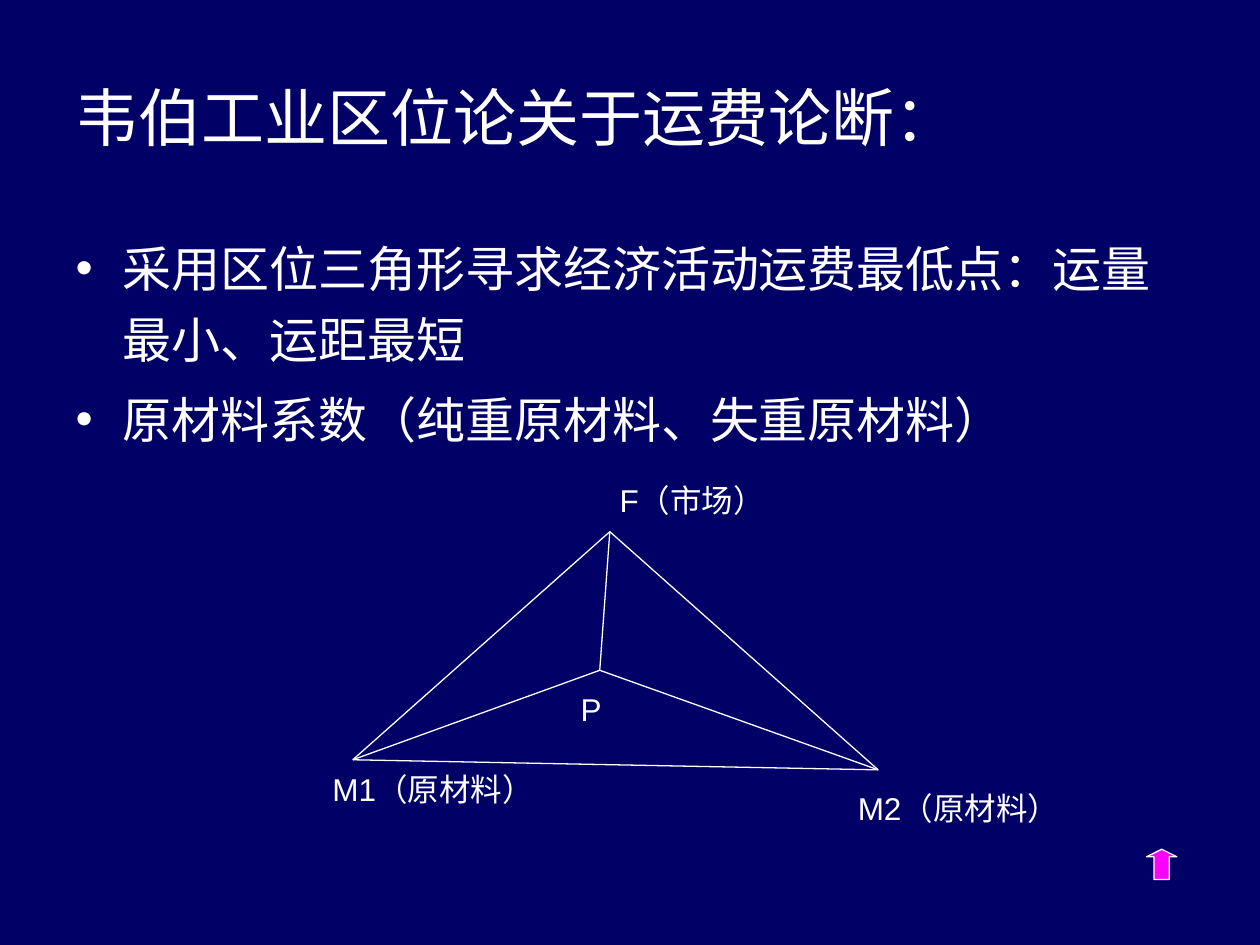
from pptx import Presentation
from pptx.dml.color import RGBColor
from pptx.enum.shapes import MSO_CONNECTOR as Connector, MSO_SHAPE as Shape
from pptx.enum.text import MSO_ANCHOR as Anchor, MSO_AUTO_SIZE as AutoSize, PP_ALIGN as Align
from pptx.oxml.ns import qn
from pptx.util import Inches, Pt
from lxml.etree import SubElement

NAVY, WHITE, MAGENTA = "000066", "FFFFFF", "FF00FF"
MARKET, SOURCE_1, SOURCE_2, PLANT = (4.84, 4.22), (2.8, 6.03), (6.97, 6.11), (4.76, 5.32)
EDGES = [
    (MARKET, SOURCE_1), (MARKET, SOURCE_2), (SOURCE_1, SOURCE_2),
    (PLANT, SOURCE_1), (PLANT, MARKET), (PLANT, SOURCE_2),
]
LABELS = [
    ("F（市场）", 4.82, 3.77, 1.35),
    ("M1（原材料）", 2.54, 6.06, 1.8),
    ("M2（原材料）", 6.71, 6.21, 1.8),
    ("P", 4.51, 5.43, 0.37),
]
POINTS = [
    "采用区位三角形寻求经济活动运费最低点：运量最小、运距最短",
    "原材料系数（纯重原材料、失重原材料）",
]


def paint(color_format, color):
    """Set a fill or font colour from a hex string."""
    color_format.rgb = RGBColor.from_string(color)


def style_text(para, size):
    """Format every run of a paragraph in white Arial."""
    for span in para.runs:
        span.font.name = "Arial"
        span.font.size = Pt(size)
        paint(span.font.color, WHITE)


def style_line(line):
    """Give a line or outline the thin white stroke."""
    paint(line.color, WHITE)
    line.width = Pt(0.75)


def place(box, left, top, width, height):
    """Move and size a placeholder."""
    box.left, box.top = Inches(left), Inches(top)
    box.width, box.height = Inches(width), Inches(height)


def fill_title(box, text):
    """Write the left-aligned title."""
    place(box, 0.5, 0.3, 9, 1.25)
    box.text_frame.text = text
    box.text_frame.vertical_anchor = Anchor.MIDDLE
    para = box.text_frame.paragraphs[0]
    para.alignment = Align.LEFT
    style_text(para, 36)


def fill_body(box, points):
    """Write the bulleted points."""
    place(box, 0.5, 1.75, 9, 4.95)
    box.text_frame.text = "\n".join(points)
    for para in box.text_frame.paragraphs:
        para.line_spacing = 1.2
        style_text(para, 28)


def add_edge(page, start, end):
    """Draw one straight edge of the location triangle."""
    ends = [Inches(value) for value in (*start, *end)]
    edge = page.shapes.add_connector(Connector.STRAIGHT, *ends)
    style_line(edge.line)
    SubElement(edge._element.spPr, qn("a:effectLst"))


def add_label(page, text, left, top, width):
    """Add the label of a point in the triangle."""
    box = page.shapes.add_textbox(Inches(left), Inches(top), Inches(width), Inches(0.4))
    frame = box.text_frame
    frame.word_wrap = True
    frame.auto_size = AutoSize.SHAPE_TO_FIT_TEXT
    frame.text = text
    style_text(frame.paragraphs[0], 18)


def add_up_arrow(page, left, top, size):
    """Add the small upward arrow."""
    arrow = page.shapes.add_shape(
        Shape.UP_ARROW, Inches(left), Inches(top), Inches(size), Inches(size))
    arrow.adjustments[0], arrow.adjustments[1] = 0.5, 0.25
    arrow.shadow.inherit = False
    arrow.fill.solid()
    paint(arrow.fill.fore_color, MAGENTA)
    style_line(arrow.line)


def main():
    """Build the slide and save it."""
    deck = Presentation()
    deck.slide_width, deck.slide_height = Inches(10), Inches(7.5)
    page = deck.slides.add_slide(deck.slide_layouts[1])
    page.background.fill.solid()
    paint(page.background.fill.fore_color, NAVY)
    fill_title(page.shapes.title, "韦伯工业区位论关于运费论断：")
    fill_body(page.placeholders[1], POINTS)
    for start, end in EDGES:
        add_edge(page, start, end)
    for label in LABELS:
        add_label(page, *label)
    add_up_arrow(page, 9.1, 6.74, 0.24)
    deck.save("out.pptx")


if __name__ == "__main__":
    main()
